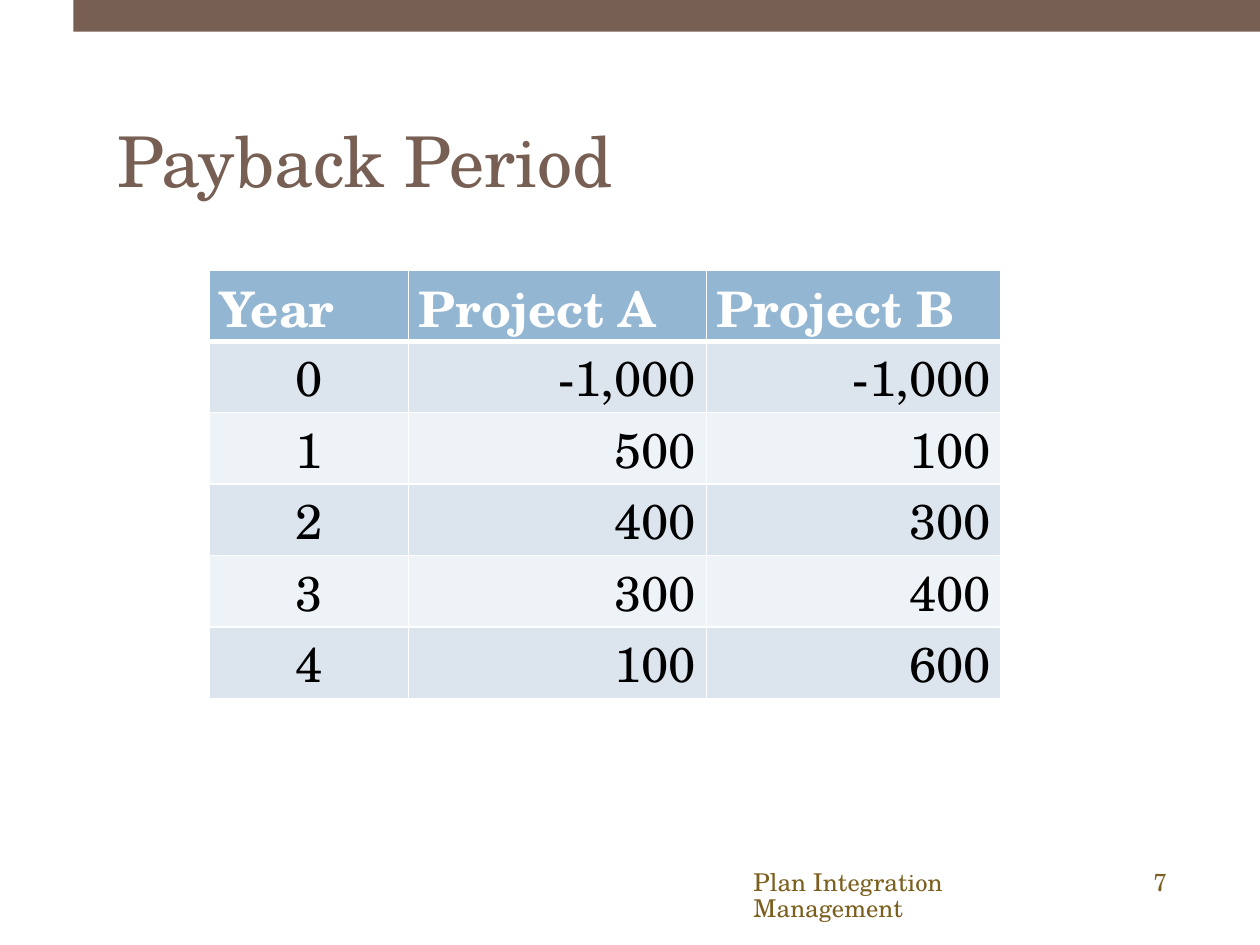
from dataclasses import dataclass

from lxml import etree
from pptx import Presentation
from pptx.dml.color import RGBColor
from pptx.enum.shapes import MSO_SHAPE
from pptx.enum.text import MSO_ANCHOR, PP_ALIGN
from pptx.oxml.ns import qn
from pptx.util import Cm, Pt

LEFT, CENTER, RIGHT = PP_ALIGN.LEFT, PP_ALIGN.CENTER, PP_ALIGN.RIGHT
TOP = MSO_ANCHOR.TOP
RECTANGLE = MSO_SHAPE.RECTANGLE


@dataclass(frozen=True)
class Theme:
    font: str = "TeX Gyre Schola"
    brown: str = "775F54"
    footer: str = "7B5F1E"
    header: str = "93B6D2"
    band_dark: str = "DCE4ED"
    band_light: str = "EEF3F7"
    white: str = "FFFFFF"
    black: str = "000000"
    title_size: float = 40
    table_size: float = 28
    footer_size: float = 14


@dataclass(frozen=True)
class Label:
    text: str
    left: float
    top: float
    width: float
    height: float
    size: float
    color: str
    line_spacing: float | None = None


@dataclass(frozen=True)
class CellStyle:
    fill: str
    color: str
    bold: bool
    alignments: tuple
    space_before: float
    top_border: float = 1
    bottom_border: float = 1


THEME = Theme()
LABELS = (
    Label("Payback Period", 2.36, 2.37, 21.1, 2.8, THEME.title_size, THEME.brown),
    Label("Plan Integration Management", 15.19, 17.53, 6.68, 0.56,
          THEME.footer_size, THEME.footer, 15.2),
    Label("7", 23.25, 17.53, 0.4, 0.56, THEME.footer_size, THEME.footer, 15.2),
)
COLUMN_WIDTHS = (4.01, 6.01, 5.94)
ROW_HEIGHT = 1.44
CELL_MARGIN = 0.21
ROWS = (
    ("Year", "Project A", "Project B"),
    ("0", "-1,000", "-1,000"),
    ("1", "500", "100"),
    ("2", "400", "300"),
    ("3", "300", "400"),
    ("4", "100", "600"),
)


def add_text(paragraph, text: str, size: float, color: str, bold: bool = False) -> None:
    run = paragraph.add_run()
    run.text = text
    run.font.name = THEME.font
    run.font.size = Pt(size)
    run.font.bold = bold
    run.font.color.rgb = RGBColor.from_string(color)


def add_bar(slide) -> None:
    bar = slide.shapes.add_shape(RECTANGLE, Cm(1.48), Cm(0), Cm(23.92), Cm(0.64))
    bar.shadow.inherit = False
    bar.fill.solid()
    bar.fill.fore_color.rgb = RGBColor.from_string(THEME.brown)
    bar.line.fill.background()


def add_label(slide, label: Label) -> None:
    shape = slide.shapes.add_textbox(
        Cm(label.left), Cm(label.top), Cm(label.width), Cm(label.height))
    frame = shape.text_frame
    frame.word_wrap = True
    frame.vertical_anchor = TOP
    frame.margin_left = frame.margin_right = frame.margin_top = frame.margin_bottom = 0
    paragraph = frame.paragraphs[0]
    if label.line_spacing:
        paragraph.line_spacing = Pt(label.line_spacing)
    add_text(paragraph, label.text, label.size, label.color)


def set_borders(cell, style: CellStyle) -> None:
    properties = cell._tc.get_or_add_tcPr()
    widths = {"a:lnL": 1, "a:lnR": 1, "a:lnT": style.top_border, "a:lnB": style.bottom_border}
    for tag, width in widths.items():
        line = etree.SubElement(properties, qn(tag), w=str(Pt(width)))
        fill = etree.SubElement(line, qn("a:solidFill"))
        etree.SubElement(fill, qn("a:srgbClr"), val=THEME.white)


def row_style(index: int) -> CellStyle:
    if index == 0:
        return CellStyle(THEME.header, THEME.white, True, (LEFT, LEFT, LEFT), 2.2,
                         bottom_border=3)
    first = index == 1
    return CellStyle(
        THEME.band_dark if index % 2 else THEME.band_light, THEME.black, False,
        (CENTER, RIGHT, RIGHT), 1.2 if first else 2.2, top_border=3 if first else 1)


def fill_cell(cell, text: str, style: CellStyle, alignment) -> None:
    cell.margin_left = cell.margin_right = Cm(CELL_MARGIN)
    cell.margin_top = cell.margin_bottom = 0
    set_borders(cell, style)
    cell.fill.solid()
    cell.fill.fore_color.rgb = RGBColor.from_string(style.fill)
    paragraph = cell.text_frame.paragraphs[0]
    paragraph.alignment = alignment
    paragraph.space_before = Pt(style.space_before)
    add_text(paragraph, text, THEME.table_size, style.color, style.bold)


def add_payback_table(slide) -> None:
    table = slide.shapes.add_table(
        len(ROWS), len(COLUMN_WIDTHS), Cm(4.22), Cm(5.44),
        Cm(sum(COLUMN_WIDTHS)), Cm(ROW_HEIGHT * len(ROWS))).table
    table.horz_banding = False
    for column, width in zip(table.columns, COLUMN_WIDTHS):
        column.width = Cm(width)
    for index, (row, texts) in enumerate(zip(table.rows, ROWS)):
        row.height = Cm(ROW_HEIGHT)
        style = row_style(index)
        for cell, text, alignment in zip(row.cells, texts, style.alignments):
            fill_cell(cell, text, style, alignment)


def main() -> None:
    presentation = Presentation()
    presentation.slide_width, presentation.slide_height = Cm(25.4), Cm(19.05)
    slide = presentation.slides.add_slide(presentation.slide_layouts[6])
    add_bar(slide)
    for label in LABELS:
        add_label(slide, label)
    add_payback_table(slide)
    presentation.save("out.pptx")


if __name__ == "__main__":
    main()
